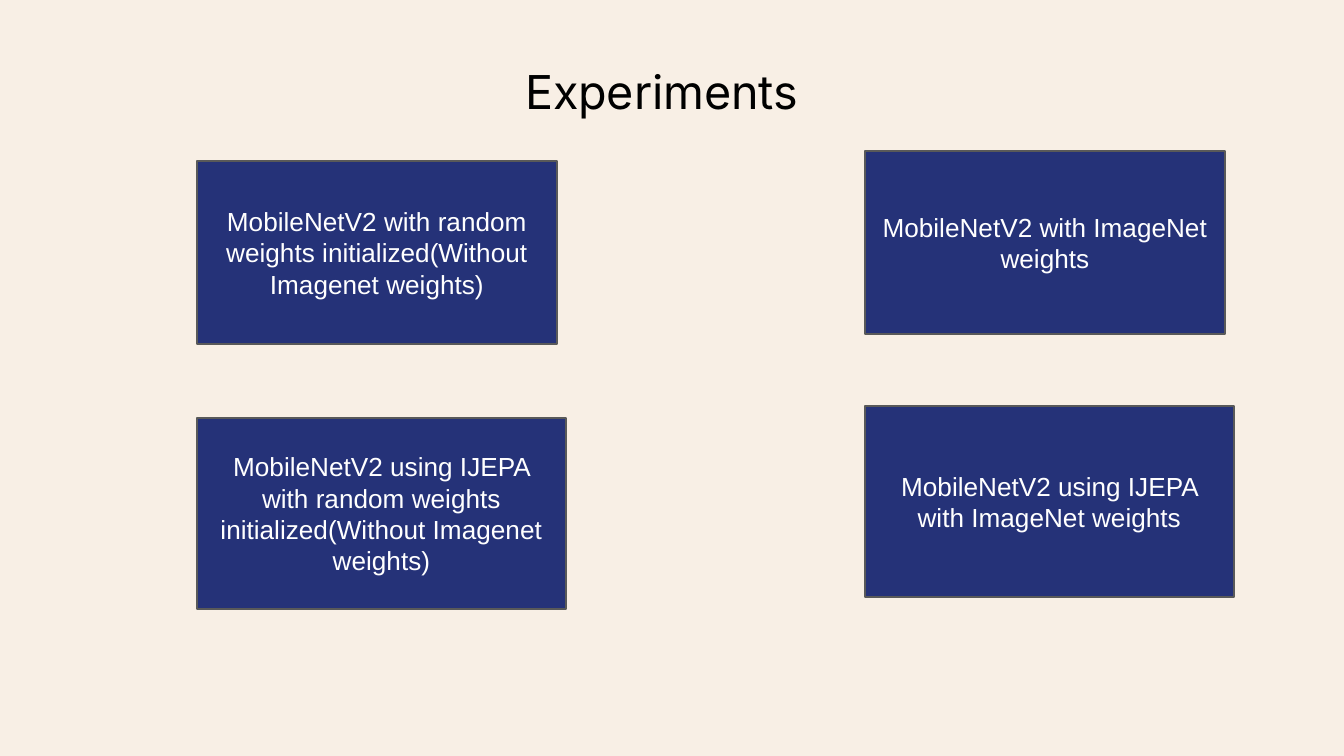
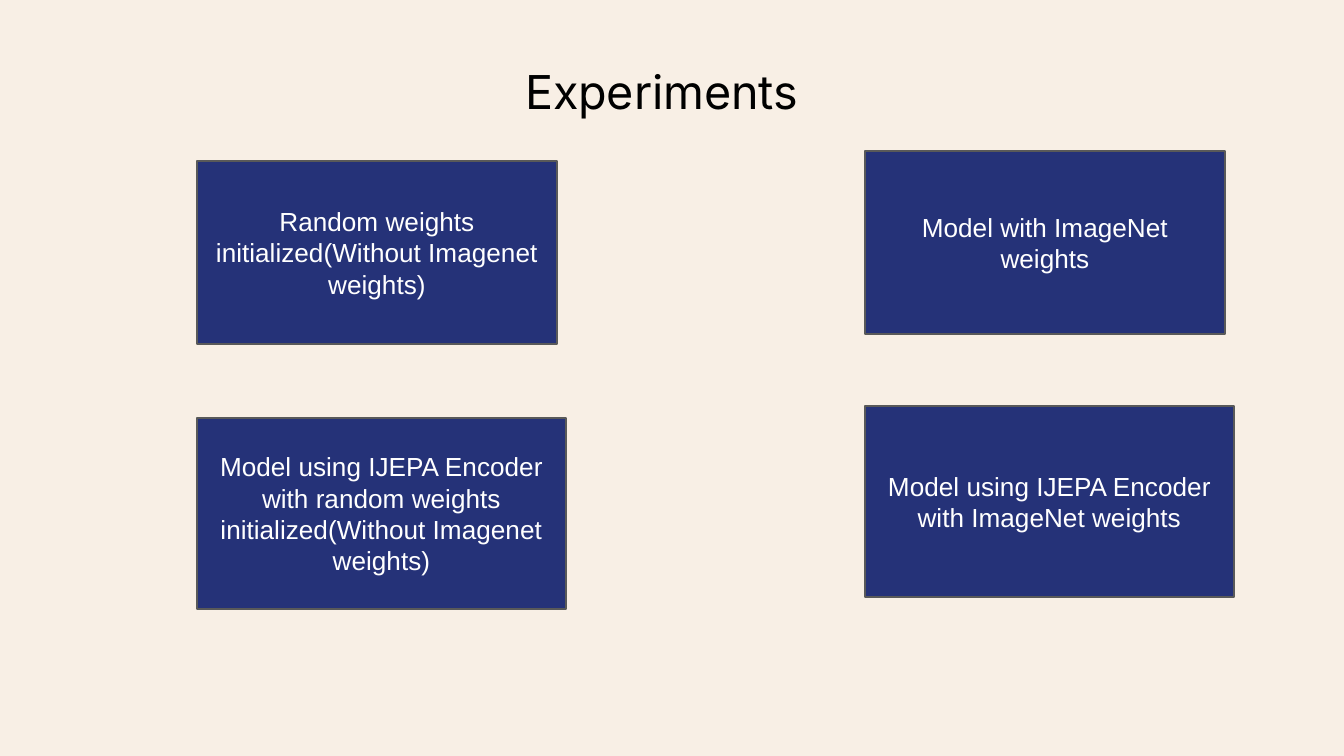
from pptx import Presentation
from pptx.dml.color import RGBColor
from pptx.enum.shapes import MSO_SHAPE
from pptx.enum.text import MSO_ANCHOR, PP_ALIGN
from pptx.util import Emu, Pt

EMU_PER_PX = 914400 / 134.4
TITLE_ONLY = 5
BACKGROUND = "F8EFE5"
NAVY = "253278"
GRAY = "595959"
WHITE = "FFFFFF"
BLACK = "000000"

TITLE_AREA = (512, 50, 331, 102)
# Random weights are on the left, ImageNet weights on the right;
# the lower row uses IJEPA.
EXPERIMENT_AREAS = [
    (197, 161, 360, 183),
    (865, 151, 360, 183),
    (197, 418, 369, 191),
    (865, 406, 369, 191),
]
EXPERIMENTS = [
    [
        "MobileNetV2 with random weights initialized(Without Imagenet weights)",
        "MobileNetV2 with ImageNet weights",
        "MobileNetV2 using IJEPA with random weights initialized(Without Imagenet weights)",
        "MobileNetV2 using IJEPA with ImageNet weights",
    ],
    [
        "Random weights initialized(Without Imagenet weights)",
        "Model with ImageNet weights",
        "Model using IJEPA Encoder with random weights initialized(Without Imagenet weights)",
        "Model using IJEPA Encoder with ImageNet weights",
    ],
]


def px(length):
    return Emu(round(length * EMU_PER_PX))


def color(hex_string):
    return RGBColor.from_string(hex_string)


def write_text(shape, text, font_name, size, text_color, alignment, anchor):
    frame = shape.text_frame
    frame.text = text
    frame.word_wrap = True
    frame.vertical_anchor = anchor
    frame.margin_left = frame.margin_right = px(13)
    frame.margin_top = frame.margin_bottom = px(13)
    paragraph = frame.paragraphs[0]
    paragraph.alignment = alignment
    paragraph.font.name = font_name
    paragraph.font.size = Pt(size)
    paragraph.font.color.rgb = color(text_color)


def set_title(slide, text):
    title = slide.shapes.title
    title.left, title.top, title.width, title.height = map(px, TITLE_AREA)
    write_text(title, text, "Inter", 25, BLACK, PP_ALIGN.LEFT, MSO_ANCHOR.TOP)


def add_experiment(slide, area, text):
    box = slide.shapes.add_shape(MSO_SHAPE.RECTANGLE, *map(px, area))
    box.shadow.inherit = False
    box.fill.solid()
    box.fill.fore_color.rgb = color(NAVY)
    box.line.color.rgb = color(GRAY)
    box.line.width = Pt(0.75)
    write_text(box, text, "Arial", 14, WHITE, PP_ALIGN.CENTER, MSO_ANCHOR.MIDDLE)


def add_experiments_slide(presentation, descriptions):
    slide = presentation.slides.add_slide(presentation.slide_layouts[TITLE_ONLY])
    slide.background.fill.solid()
    slide.background.fill.fore_color.rgb = color(BACKGROUND)
    set_title(slide, "Experiments")
    for area, description in zip(EXPERIMENT_AREAS, descriptions):
        add_experiment(slide, area, description)


def main():
    presentation = Presentation()
    presentation.slide_width = px(1344)
    presentation.slide_height = px(756)
    for descriptions in EXPERIMENTS:
        add_experiments_slide(presentation, descriptions)
    presentation.save("out.pptx")


if __name__ == "__main__":
    main()
